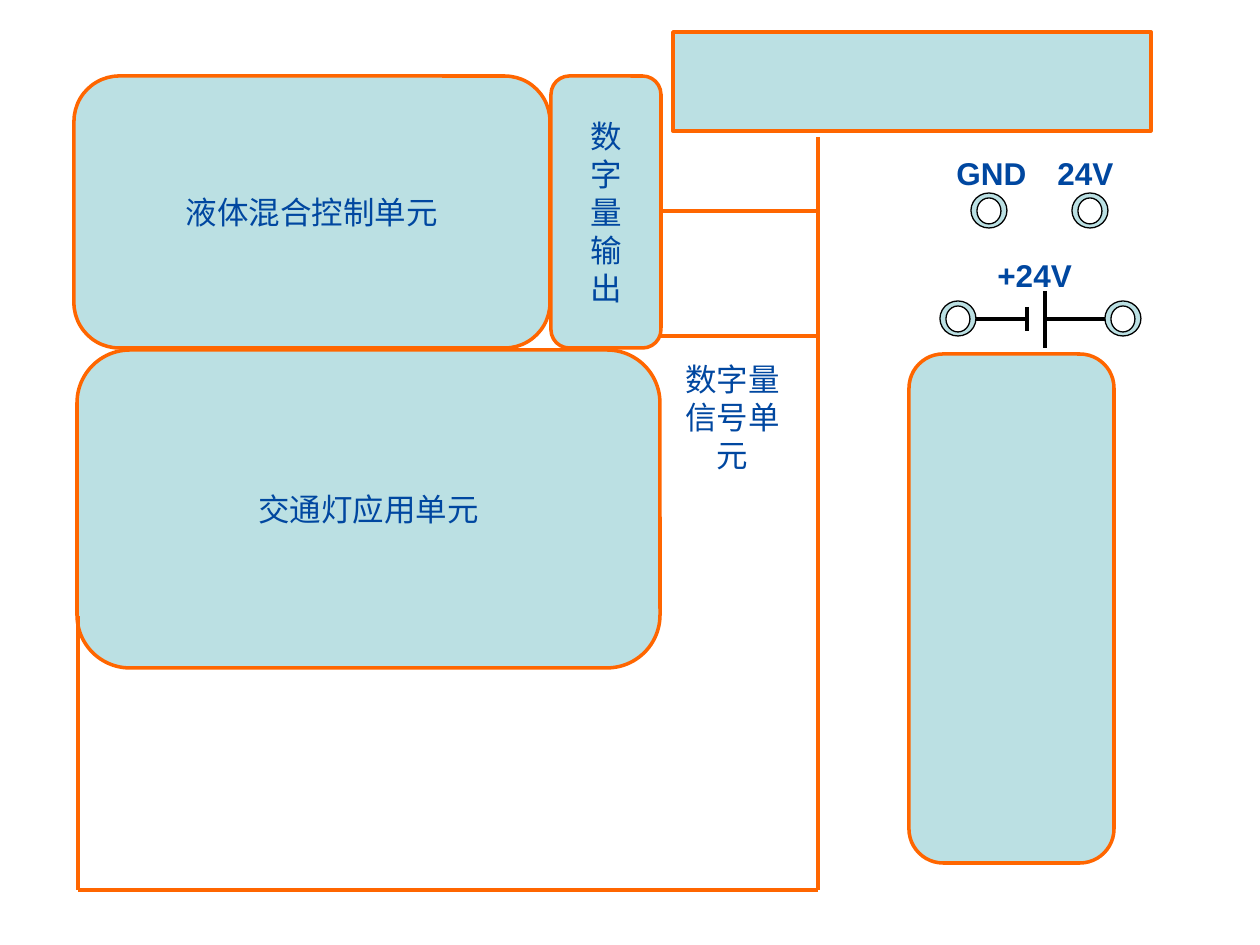
import pptx
import pptx.util
import pptx.dml.color
import pptx.enum.shapes
import pptx.enum.text
import pptx.oxml.ns
import lxml.etree

RGB = pptx.dml.color.RGBColor
KIND = pptx.enum.shapes.MSO_SHAPE
ALIGN = pptx.enum.text.PP_ALIGN
ANCHOR = pptx.enum.text.MSO_ANCHOR

TEAL = RGB(0xBB, 0xE0, 0xE3)
ORANGE = RGB(0xFF, 0x66, 0x00)
BLUE = RGB(0x00, 0x47, 0xA0)
BLACK = RGB(0, 0, 0)
WHITE = RGB(255, 255, 255)
SCALE = 914400 / 126


def px(*sizes):
    return [pptx.util.Emu(round(size * SCALE)) for size in sizes]


def write(frame, text, align, bold=False, wrap=False):
    frame.word_wrap = wrap
    frame.text = text
    for para in frame.paragraphs:
        para.alignment = align
        font = para.runs[0].font
        font.name, font.size, font.bold = "Arial", pptx.util.Pt(18), bold
        font.color.rgb = BLUE


def block(slide, kind, x, y, w, h, text="", fill=TEAL, edge=ORANGE, weight=2):
    shape = slide.shapes.add_shape(kind, *px(x, y, w, h))
    shape.shadow.inherit = False
    shape.fill.solid()
    shape.fill.fore_color.rgb = fill
    shape.line.color.rgb = edge
    shape.line.width = pptx.util.Pt(weight)
    if text:
        shape.text_frame.vertical_anchor = ANCHOR.MIDDLE
        write(shape.text_frame, text, ALIGN.CENTER)


def label(slide, x, y, w, h, text, align=ALIGN.LEFT, bold=True, wrap=False):
    box = slide.shapes.add_textbox(*px(x, y, w, h))
    write(box.text_frame, text, align, bold, wrap)


def wire(slide, x1, y1, x2, y2, color=ORANGE):
    line = slide.shapes.add_connector(
        pptx.enum.shapes.MSO_CONNECTOR.STRAIGHT, *px(x1, y1, x2, y2))
    line.line.color.rgb = color
    line.line.width = pptx.util.Pt(2)
    lxml.etree.SubElement(line._element.spPr, pptx.oxml.ns.qn("a:effectLst"))


def ring(slide, x, y):
    block(slide, KIND.OVAL, x, y, 36, 35, edge=BLACK, weight=0.75)
    block(slide, KIND.OVAL, x + 6, y + 5, 24, 26, fill=WHITE, edge=BLACK, weight=0.75)


# Control units and the digital output strip
def units(slide, x, y):
    for dx, dy, w, h, text in (
        (0, 0, 476, 272, "液体混合控制单元"),
        (3, 274, 583, 318, "交通灯应用单元"),
        (477, 0, 110, 272, "\n".join("数字量输出")),
    ):
        block(slide, KIND.ROUNDED_RECTANGLE, x + dx, y + dy, w, h, text)


# Supply terminals above a battery symbol
def power(slide, x, y):
    for dx, dy in ((31, 45), (132, 45), (0, 153), (165, 153)):
        ring(slide, x + dx, y + dy)
    label(slide, x + 4, y, 95, 50, "GND")
    label(slide, x + 105, y, 81, 50, "24V")
    for x1, y1, x2, y2 in (
        (87, 159, 87, 183),
        (105, 143, 105, 200),
        (36, 171, 86, 171),
        (106, 171, 165, 171),
    ):
        wire(slide, x + x1, y + y1, x + x2, y + y2, BLACK)
    label(slide, x + 45, y + 102, 121, 50, "+24V", wrap=True)


# Wiring around the digital signal unit
def signal(slide, x, y, w, h):
    right, base, out = x + w, y + h, x + 583
    wire(slide, out, y - 43, out, y + 191)
    wire(slide, right, y, right, base)
    wire(slide, x, y + 479, x, base)
    wire(slide, x, base, right, base)
    for dy in (199, 74):
        wire(slide, out, y + dy, right, y + dy)
    label(slide, out, y + 217, 143, 126, "数字量\n信号单元", ALIGN.CENTER, False, True)


# Empty panels on the right
def panels(slide, x, y):
    block(slide, KIND.RECTANGLE, x, y, 478, 99)
    block(slide, KIND.ROUNDED_RECTANGLE, x + 236, y + 322, 205, 509)


def main():
    deck = pptx.Presentation()
    deck.slide_width, deck.slide_height = px(1260, 945)
    slide = deck.slides.add_slide(deck.slide_layouts[6])
    units(slide, 74, 76)
    power(slide, 940, 148)
    signal(slide, 78, 137, 740, 753)
    panels(slide, 673, 32)
    deck.save("out.pptx")


if __name__ == "__main__":
    main()
